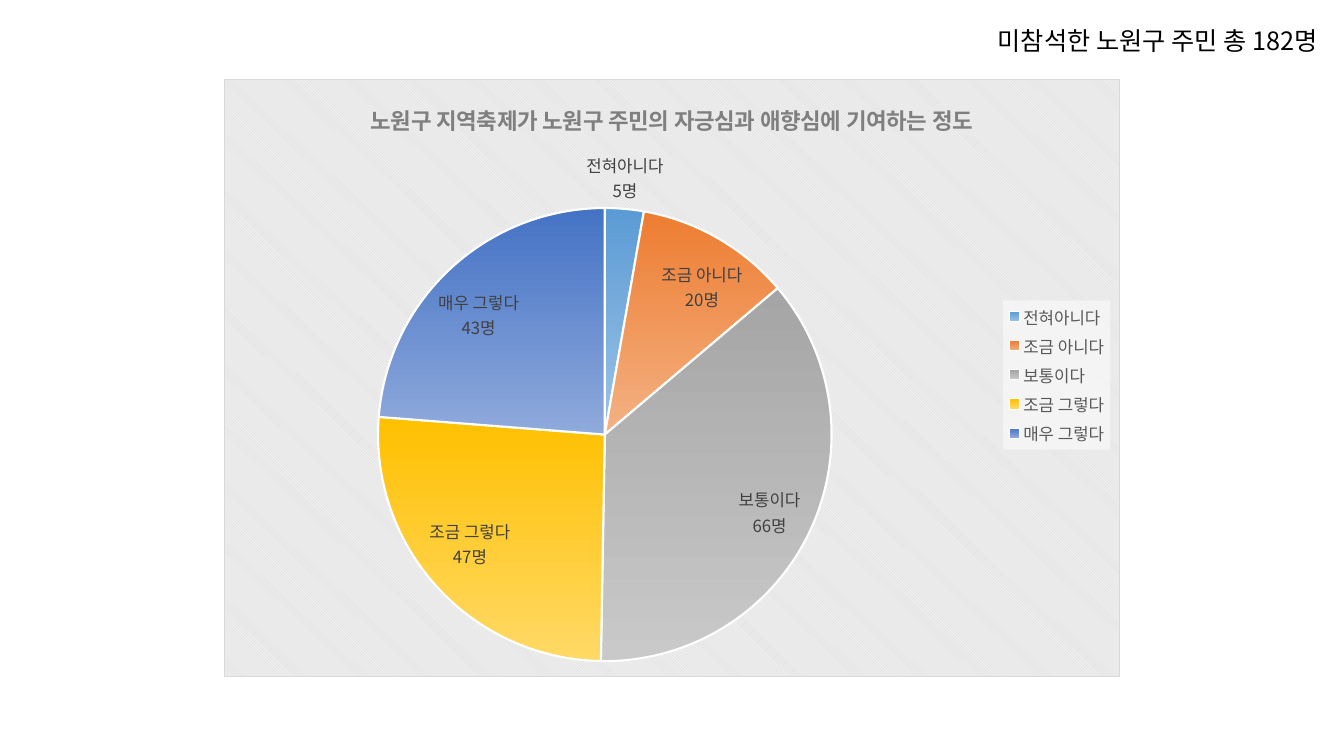
from dataclasses import dataclass

from pptx import Presentation
from pptx.chart.data import CategoryChartData
from pptx.dml.color import RGBColor
from pptx.enum.chart import XL_CHART_TYPE, XL_LABEL_POSITION, XL_LEGEND_POSITION
from pptx.enum.text import MSO_AUTO_SIZE
from pptx.oxml import parse_xml
from pptx.oxml.ns import nsdecls, qn
from pptx.util import Inches, Pt


@dataclass(frozen=True)
class Theme:
    font: str = "Noto Sans CJK KR"
    text: str = "000000"
    title: str = "7F7F7F"
    legend: str = "595959"
    label: str = "404040"
    white: str = "FFFFFF"
    ground: str = "E6E6E6"
    border: str = "D9D9D9"
    base_size: float = 10
    chart_size: float = 12
    title_size: float = 16
    note_size: float = 18
    edge: float = 1.5


# Answer, number of people, gradient from top to bottom
ANSWERS = [
    ("전혀아니다", 5, ("5B9BD5", "9DC3E6")),
    ("조금 아니다", 20, ("ED7D31", "F4B183")),
    ("보통이다", 66, ("A5A5A5", "C9C9C9")),
    ("조금 그렇다", 47, ("FFC000", "FFD966")),
    ("매우 그렇다", 43, ("4472C4", "8FAADC")),
]


def apply(target, values):
    for name, value in values.items():
        setattr(target, name, value)


def layout(x, y, width, height, target=""):
    """Manual chart layout in shares of the chart's size."""
    parts = {"xMode": "edge", "yMode": "edge", "x": x, "y": y, "w": width, "h": height}
    inner = "".join(f'<c:{name} val="{value}"/>' for name, value in parts.items())
    return parse_xml(f'<c:layout {nsdecls("c")}><c:manualLayout>{target}{inner}'
                     "</c:manualLayout></c:layout>")


def frame(fill, line="<a:ln><a:noFill/></a:ln>"):
    return parse_xml(f'<c:spPr {nsdecls("c", "a")}>{fill}{line}</c:spPr>')


def solid(color, inner=""):
    return f'<a:solidFill><a:srgbClr val="{color}">{inner}</a:srgbClr></a:solidFill>'


class Page:
    def __init__(self, deck, theme):
        self.deck, self.theme = deck, theme
        self.slide = deck.slides.add_slide(deck.slide_layouts[6])

    def area(self, x, y, width, height):
        """Turn shares of the slide into lengths."""
        across, down = self.deck.slide_width, self.deck.slide_height
        return int(x * across), int(y * down), int(width * across), int(height * down)

    def style(self, font, size, color, bold=False):
        apply(font, {"name": self.theme.font, "size": Pt(size), "bold": bold})
        font.color.rgb = RGBColor.from_string(color)

    def use_korean_font(self, root):
        for latin in list(root.iter(qn("a:latin"))):
            latin.addnext(parse_xml(f'<a:ea {nsdecls("a")} typeface="{self.theme.font}"/>'))

    def note(self, text, place):
        box = self.slide.shapes.add_textbox(*self.area(*place))
        apply(box.text_frame, {"word_wrap": False, "auto_size": MSO_AUTO_SIZE.SHAPE_TO_FIT_TEXT})
        span = box.text_frame.paragraphs[0].add_run()
        span.text = text
        self.style(span.font, self.theme.note_size, self.theme.text)
        self.use_korean_font(span.font._element)

    def pie(self, title, answers, place):
        theme = self.theme
        data = CategoryChartData()
        data.categories = [name for name, _, _ in answers]
        data.add_series("Series 1", [count for _, count, _ in answers])
        chart = self.slide.shapes.add_chart(XL_CHART_TYPE.PIE, *self.area(*place), data).chart
        self.style(chart.font, theme.base_size, theme.text)
        plot = chart.plots[0]
        plot.vary_by_categories = True

        # Title
        chart.has_title = True
        span = chart.chart_title.text_frame.paragraphs[0].add_run()
        span.text = title
        self.style(span.font, theme.title_size, theme.title, bold=True)

        # Slices
        series = plot.series[0]
        for index, (_, _, colors) in enumerate(answers):
            look = series.points[index].format
            look.fill.gradient()
            look.fill.gradient_angle = 270
            for stop, color in zip(look.fill.gradient_stops, colors):
                stop.color.rgb = RGBColor.from_string(color)
            look.line.width = Pt(theme.edge)
            look.line.color.rgb = RGBColor.from_string(theme.white)

        # Labels: answer above the number of people
        labels = series.data_labels
        apply(labels, {"show_category_name": True, "show_value": True,
                       "number_format": '0"명"', "number_format_is_linked": False,
                       "position": XL_LABEL_POSITION.BEST_FIT})
        self.style(labels.font, theme.chart_size, theme.label)
        root = chart.element
        last_flag = next(root.iter(qn("c:showBubbleSize")))
        last_flag.addnext(parse_xml(f'<c:separator {nsdecls("c")}>\n</c:separator>'))

        # Legend
        chart.has_legend = True
        apply(chart.legend, {"position": XL_LEGEND_POSITION.RIGHT, "include_in_layout": False})
        self.style(chart.legend.font, theme.chart_size, theme.legend)
        legend = next(root.iter(qn("c:legend")))
        for old in legend.findall(qn("c:layout")):
            legend.remove(old)
        legend.find(qn("c:legendPos")).addnext(layout(0.87, 0.37, 0.12, 0.25))
        legend.find(qn("c:overlay")).addnext(frame(solid(theme.white, '<a:alpha val="50000"/>')))

        # Plot position, patterned ground and border
        plot_area = next(root.iter(qn("c:plotArea")))
        for old in plot_area.findall(qn("c:layout")):
            plot_area.remove(old)
        plot_area.insert(0, layout(0.17, 0.215, 0.51, 0.76, '<c:layoutTarget val="inner"/>'))
        pattern = (f'<a:pattFill prst="dkDnDiag"><a:fgClr><a:srgbClr val="{theme.white}"/></a:fgClr>'
                   f'<a:bgClr><a:srgbClr val="{theme.ground}"/></a:bgClr></a:pattFill>')
        border = f'<a:ln w="{Pt(0.75)}">{solid(theme.border)}</a:ln>'
        root.find(qn("c:chart")).addnext(frame(pattern, border))
        self.use_korean_font(root)


def main():
    deck = Presentation()
    apply(deck, {"slide_width": Inches(13.33), "slide_height": Inches(7.5)})
    page = Page(deck, Theme())
    page.pie("노원구 지역축제가 노원구 주민의 자긍심과 애향심에 기여하는 정도",
             ANSWERS, (1 / 6, 0.105, 2 / 3, 0.79))
    page.note("미참석한 노원구 주민 총 182명", (0.735, 0.027, 0.265, 0.053))
    deck.save("out.pptx")


if __name__ == "__main__":
    main()
